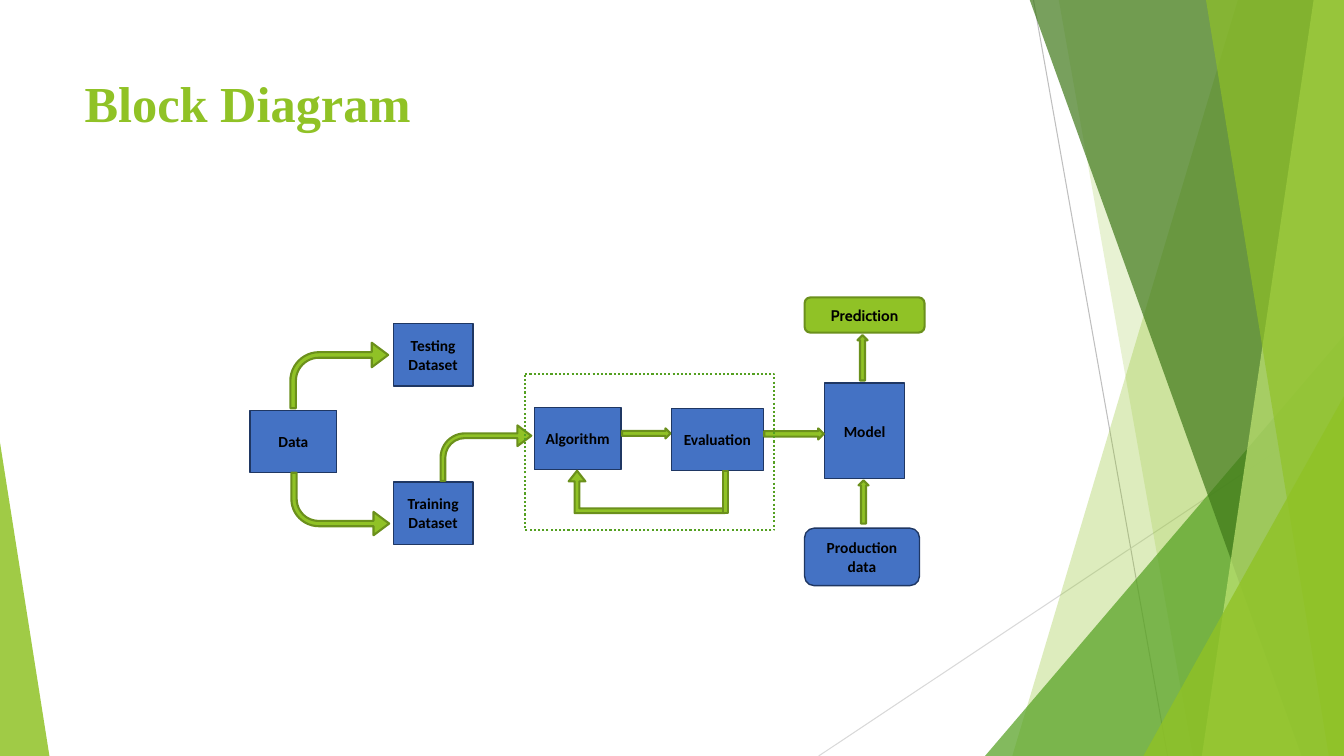
from lxml.etree import SubElement
from pptx import Presentation
from pptx.dml.color import RGBColor
from pptx.enum.dml import MSO_LINE
from pptx.enum.shapes import MSO_CONNECTOR, MSO_SHAPE
from pptx.enum.text import MSO_ANCHOR, PP_ALIGN
from pptx.oxml.ns import qn
from pptx.util import Inches, Pt

GREEN, DARK, BLUE, NAVY = "90C226", "6B901C", "4472C4", "1F3763"

deck = Presentation()
deck.slide_width, deck.slide_height = Inches(13.33), Inches(7.5)
slide = deck.slides.add_slide(deck.slide_layouts[6])
shapes = slide.shapes


def paint(shape, fill, line=None, width=1, alpha=100):
    """Set fill, outline and opacity in percent; None leaves a part out."""
    shape.shadow.inherit = False
    if fill:
        shape.fill.solid()
        shape.fill.fore_color.rgb = RGBColor.from_string(fill)
        if alpha < 100:
            color = shape._element.spPr.find(qn("a:solidFill"))[0]
            SubElement(color, qn("a:alpha")).set("val", str(alpha * 1000))
    else:
        shape.fill.background()
    if line:
        shape.line.color.rgb = RGBColor.from_string(line)
        shape.line.width = Pt(width)
    else:
        shape.line.fill.background()


def write(frame, text, font, size, color):
    frame.word_wrap = True
    par = frame.paragraphs[0]
    run = par.add_run()
    run.text = text
    run.font.name, run.font.size, run.font.bold = font, Pt(size), True
    run.font.color.rgb = RGBColor.from_string(color)
    return par


# Backdrop: thin lines, slanted bands and corner triangles
for x1, y1, x2, y2, color in [
    (10.25, 0, 11.58, 7.5, "BFBFBF"),
    (13.33, 4.03, 8.12, 7.5, "D9D9D9"),
]:
    ray = shapes.add_connector(
        MSO_CONNECTOR.STRAIGHT, Inches(x1), Inches(y1), Inches(x2), Inches(y2))
    ray.line.color.rgb = RGBColor.from_string(color)
    ray.line.width = Pt(0.75)
    SubElement(ray._element.spPr, qn("a:effectLst"))

# A band is (top x, bottom x); a corner is (left, top, width, height, apex)
for place, color, alpha in [
    ((12.28, 10.04), GREEN, 30),
    ((10.5, 11.83), GREEN, 20),
    ((9.77, 3.33, 3.56, 4.17, 1), "54A021", 72),
    ((10.21, 12.91), "3F7819", 70),
    ((13.03, 11.92), "C0E474", 70),
    ((11.96, 13.18), GREEN, 65),
    ((11.34, 3.93, 1.99, 3.57, 1), GREEN, 80),
    ((0, 4.39, 0.49, 3.11, 0), GREEN, 85),
]:
    if len(place) == 2:
        top, foot = place
        pen = shapes.build_freeform(Inches(top), Inches(-0.01))
        pen.add_line_segments([
            (Inches(x), Inches(y))
            for x, y in [(13.33, -0.01), (13.33, 7.5), (foot, 7.5)]])
        part = pen.convert_to_shape()
    else:
        part = shapes.add_shape(
            MSO_SHAPE.ISOSCELES_TRIANGLE, *map(Inches, place[:4]))
        part.adjustments[0] = place[4]
    paint(part, color, alpha=alpha)

title = shapes.add_textbox(Inches(0.74), Inches(0.67), Inches(9.4), Inches(1.44))
write(title.text_frame, "Block Diagram", "Times New Roman", 36, GREEN)

# Blocks
BOX, ROUND = MSO_SHAPE.FLOWCHART_PROCESS, MSO_SHAPE.ROUNDED_RECTANGLE
for text, kind, x, y, w, h in [
    ("Testing Dataset", BOX, 3.9, 3.21, 0.79, 0.62),
    ("Training Dataset", BOX, 3.9, 4.78, 0.79, 0.62),
    ("Algorithm ", BOX, 5.3, 4.04, 0.86, 0.62),
    ("Evaluation", BOX, 6.66, 4.05, 0.91, 0.62),
    ("Model", BOX, 8.18, 3.8, 0.79, 0.95),
    ("Production data", ROUND, 7.98, 5.24, 1.14, 0.57),
    ("Data", BOX, 2.48, 4.07, 0.86, 0.62),
    ("Prediction", ROUND, 7.98, 2.95, 1.19, 0.35),
]:
    block = shapes.add_shape(kind, Inches(x), Inches(y), Inches(w), Inches(h))
    final = text == "Prediction"
    if final:
        paint(block, GREEN, DARK, 1.5)
    else:
        paint(block, BLUE, NAVY)
    frame = block.text_frame
    frame.vertical_anchor = MSO_ANCHOR.MIDDLE
    par = write(frame, text, "Cabin" if final else "Calibri", 11, "000000")
    par.alignment = PP_ALIGN.CENTER
    if final:
        par.line_spacing = 1.07
        par.space_before, par.space_after = Pt(10), Pt(8)

# Arrows
BENT, RIGHT = MSO_SHAPE.BENT_ARROW, MSO_SHAPE.RIGHT_ARROW
BEND, LOOP = (0.085, 0.187, 0.25, 0.438), (0.112, 0.197, 0.25)
for kind, x, y, w, h, turn, flip, adjust in [
    (BENT, 2.88, 3.4, 0.97, 0.65, 0, None, BEND),
    (BENT, 2.89, 4.69, 0.97, 0.62, 0, "flipV", BEND),
    (BENT, 4.37, 4.22, 0.9, 0.55, 0, None, BEND),
    (RIGHT, 6.17, 4.25, 0.48, 0.1, 0, None, ()),
    (MSO_SHAPE.BENT_UP_ARROW, 5.64, 4.67, 1.55, 0.42, 180, "flipV", LOOP),
    (MSO_SHAPE.RECTANGLE, 7.17, 4.67, 0.05, 0.42, 0, None, ()),
    (RIGHT, 7.58, 4.25, 0.59, 0.11, 0, None, ()),
    (RIGHT, 8.33, 3.5, 0.45, 0.1, 270, None, ()),
    (RIGHT, 8.35, 4.93, 0.43, 0.1, 270, None, ()),
]:
    arrow = shapes.add_shape(kind, Inches(x), Inches(y), Inches(w), Inches(h))
    paint(arrow, GREEN, DARK, 1.5)
    arrow.rotation = turn
    for i, value in enumerate(adjust):
        arrow.adjustments[i] = value
    if flip:
        arrow._element.spPr.xfrm.set(flip, "1")

# Dotted frame around the training loop
loop = shapes.add_shape(BOX, Inches(5.21), Inches(3.71), Inches(2.47), Inches(1.55))
paint(loop, None, "54A021", 1.5)
loop.line.dash_style = MSO_LINE.ROUND_DOT

deck.save("out.pptx")
